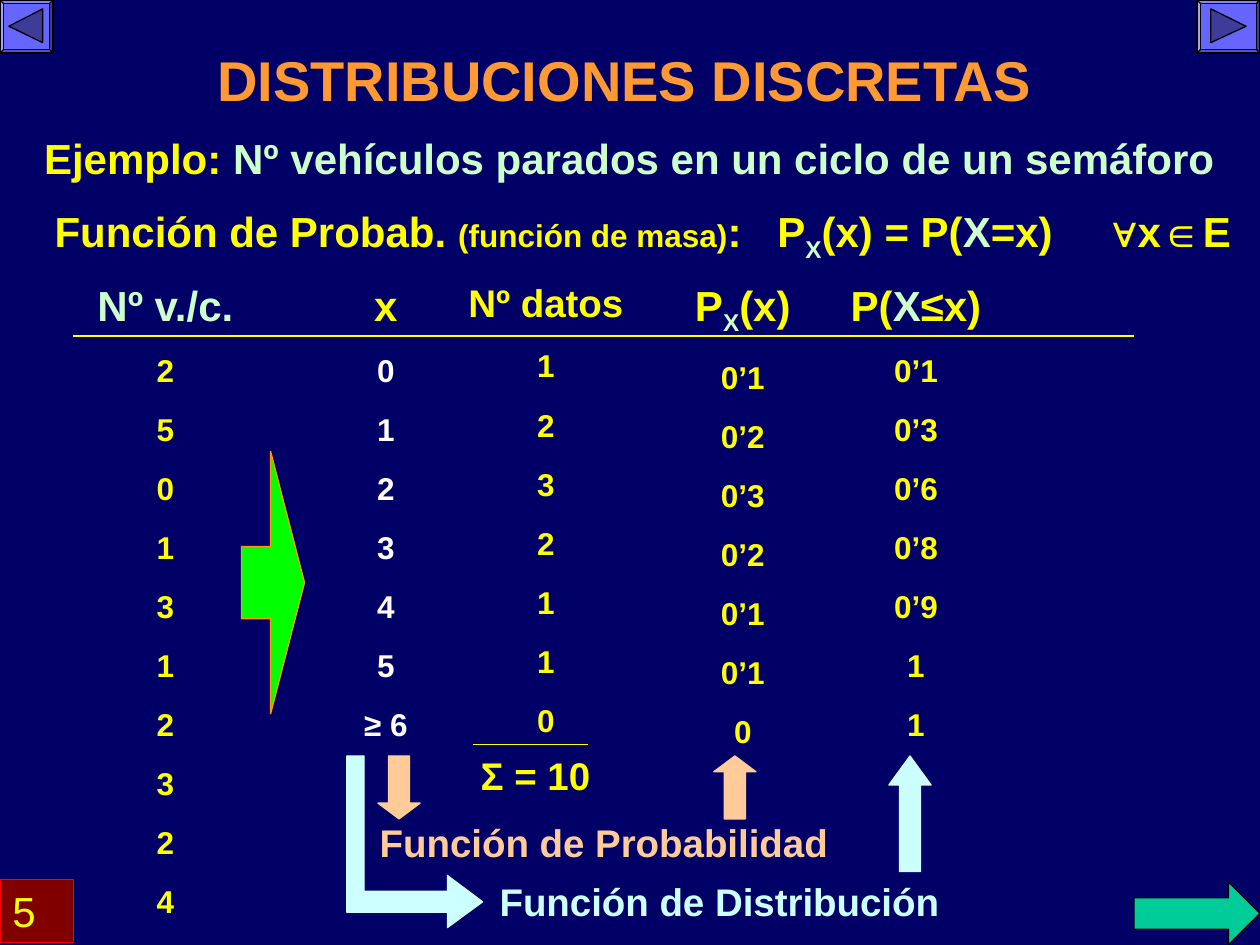
from lxml.etree import SubElement
from pptx import Presentation
from pptx.dml.color import RGBColor
from pptx.enum.shapes import MSO_CONNECTOR, MSO_SHAPE as Geo
from pptx.enum.text import MSO_ANCHOR as Anchor, PP_ALIGN as Align
from pptx.oxml.ns import qn
from pptx.util import Cm, Pt

NAVY = RGBColor(0x00, 0x00, 0x66)
ORANGE = RGBColor(0xFF, 0x99, 0x33)
YELLOW = RGBColor(0xFF, 0xFF, 0x00)
MINT = RGBColor(0xCC, 0xFF, 0xCC)
WHITE = RGBColor(0xFF, 0xFF, 0xFF)
BLACK = RGBColor(0x00, 0x00, 0x00)
PEACH = RGBColor(0xFF, 0xCC, 0x99)
ICE = RGBColor(0xCC, 0xFF, 0xFF)
BLUE = RGBColor(0x66, 0x66, 0xFF)
DARK = RGBColor(0x3D, 0x3D, 0x99)
MAROON = RGBColor(0x80, 0x00, 0x00)
RED = RGBColor(0xFF, 0x00, 0x00)
TEAL = RGBColor(0x00, 0xCC, 0x99)
GREEN = RGBColor(0x00, 0xFF, 0x00)
AMBER = RGBColor(0xFF, 0x99, 0x00)

deck = Presentation()
deck.slide_width, deck.slide_height = Cm(25.4), Cm(19.05)
slide = deck.slides.add_slide(deck.slide_layouts[6])
slide.background.fill.solid()
slide.background.fill.fore_color.rgb = NAVY
shapes = slide.shapes


def paint(shape, fill, line):
    shape.shadow.inherit = False
    shape.fill.solid()
    shape.fill.fore_color.rgb = fill
    shape.line.color.rgb = line
    shape.line.width = Pt(0.75)


def write(par, runs, bold=True):
    """Add runs given as (text, size, colour), with True at the end for a subscript."""
    for text, size, color, *sub in runs:
        run = par.add_run()
        run.text = text
        font = run.font
        font.name, font.size, font.bold = "Arial", Pt(size), bold
        font.color.rgb = color
        if sub:
            font._element.set("baseline", "-25000")


# Title, example and formula; tabs hold the gaps in the formula
lines = [
    (3.17, 0.85, 18.85, 1.48, Align.CENTER, [("DISTRIBUCIONES DISCRETAS", 32, ORANGE)]),
    (0.64, 2.54, 24.76, 1.27, Align.LEFT, [
        ("Ejemplo: ", 24, YELLOW),
        ("Nº vehículos parados en un ciclo de un semáforo", 24, MINT)]),
    (0.85, 4.02, 24.55, 1.42, Align.LEFT, [
        ("Función de Probab. ", 24, YELLOW), ("(función de masa)", 18, YELLOW),
        (":\tP", 24, YELLOW), ("X", 24, MINT, True), ("(x) = P(", 24, YELLOW),
        ("X", 24, MINT), ("=x)\t∀x∈E", 24, YELLOW)]),
    (8.68, 15.03, 4.23, 1.19, Align.CENTER, [("Σ = 10", 22, YELLOW)]),
    (7.2, 16.38, 9.95, 1.19, Align.CENTER, [("Función de Probabilidad", 22, PEACH)]),
    (9.53, 17.57, 9.95, 1.19, Align.CENTER, [("Función de Distribución", 22, ICE)]),
]
for x, y, w, h, align, runs in lines:
    frame = shapes.add_textbox(Cm(x), Cm(y), Cm(w), Cm(h)).text_frame
    frame.word_wrap = True
    par = frame.paragraphs[0]
    par.alignment = align
    if align == Align.CENTER:
        frame.vertical_anchor = Anchor.MIDDLE
    if any("\t" in run[0] for run in runs):
        tabs = SubElement(par._p.get_or_add_pPr(), qn("a:tabLst"))
        for stop in (14.57, 21.33):
            SubElement(tabs, qn("a:tab"), pos=str(Cm(stop)), algn="l")
    write(par, runs)

# Columns of figures, each under its heading
columns = [
    (1.27, 4.13, [("Nº v./c.", 24, MINT)], "2 5 0 1 3 1 2 3 2 4".split(), YELLOW),
    (6.35, 2.86, [("x", 24, YELLOW)], [*"012345", "≥ 6"], WHITE),
    (8.89, 4.23, [("Nº datos", 22, YELLOW)], "1 2 3 2 1 1 0".split(), YELLOW),
    (12.91, 4.13, [("P", 24, YELLOW), ("X", 24, MINT, True), ("(x)", 24, YELLOW)],
     "0’1 0’2 0’3 0’2 0’1 0’1 0".split(), YELLOW),
    (16.4, 4.13, [("P(", 24, YELLOW), ("X", 24, MINT), ("≤x)", 24, YELLOW)],
     "0’1 0’3 0’6 0’8 0’9 1 1".split(), YELLOW),
]
for x, w, head, values, color in columns:
    frame = shapes.add_textbox(Cm(x), Cm(5.5), Cm(w), Cm(1.25 + 1.16 * len(values))).text_frame
    frame.word_wrap = True
    par = frame.paragraphs[0]
    par.alignment = Align.CENTER
    write(par, head)
    for value in values:
        par = frame.add_paragraph()
        par.alignment = Align.CENTER
        par.space_before = Pt(12.15)
        write(par, [(value, 18, color)])

# Rules under the headings and over the sum
for left, right, y, width in [(1.48, 22.86, 6.77, 1.5), (9.53, 11.85, 15.01, 0.75)]:
    rule = shapes.add_connector(MSO_CONNECTOR.STRAIGHT, Cm(left), Cm(y), Cm(right), Cm(y))
    rule.line.color.rgb = YELLOW
    rule.line.width = Pt(width)
    SubElement(rule._element.spPr, qn("a:effectLst"))

# Block arrows
arrows = [
    (Geo.RIGHT_ARROW, 22.86, 17.78, 2.54, 1.27, 0.5, 0.5, TEAL, BLACK),
    (Geo.RIGHT_ARROW, 4.87, 9.1, 1.27, 5.29, 0.275, 0.538, GREEN, AMBER),
    (Geo.DOWN_ARROW, 7.62, 15.24, 0.85, 1.27, 0.5, 0.375, PEACH, PEACH),
    (Geo.UP_ARROW, 14.39, 15.24, 0.85, 1.27, 0.5, 0.375, PEACH, PEACH),
    (Geo.UP_ARROW, 17.92, 15.24, 0.85, 2.33, 0.5, 0.688, ICE, ICE),
]
for kind, x, y, w, h, shaft, tip, fill, line in arrows:
    arrow = shapes.add_shape(kind, Cm(x), Cm(y), Cm(w), Cm(h))
    arrow.adjustments[0], arrow.adjustments[1] = shaft, tip
    paint(arrow, fill, line)

# Navigation buttons
for x, w, back, tip in [(0, 1.07, 0.86, 0.18), (24.13, 1.27, 24.41, 25.12)]:
    button = shapes.add_shape(Geo.BEVEL, Cm(x), 0, Cm(w), Cm(1.07))
    button.adjustments[0] = 0.07
    paint(button, BLUE, BLACK)
    pen = shapes.build_freeform(Cm(back), Cm(0.18))
    pen.add_line_segments([(Cm(tip), Cm(0.53)), (Cm(back), Cm(0.86))])
    paint(pen.convert_to_shape(), DARK, BLACK)

# Bent arrow to the distribution function
bend = [(9.73, 18.18), (9.02, 17.65), (9.02, 17.97), (7.34, 17.97), (7.34, 15.24),
        (6.99, 15.24), (6.99, 18.39), (9.02, 18.39), (9.02, 18.7)]
start, *rest = [(Cm(x), Cm(y)) for x, y in bend]
pen = shapes.build_freeform(*start)
pen.add_line_segments(rest)
paint(pen.convert_to_shape(), ICE, ICE)

# Page number
page = shapes.add_shape(Geo.RECTANGLE, 0, Cm(17.73), Cm(1.48), Cm(1.27))
paint(page, MAROON, RED)
page.text_frame.vertical_anchor = Anchor.TOP
par = page.text_frame.paragraphs[0]
par.alignment = Align.LEFT
write(par, [("5", 24, YELLOW)], bold=False)

deck.save("out.pptx")
